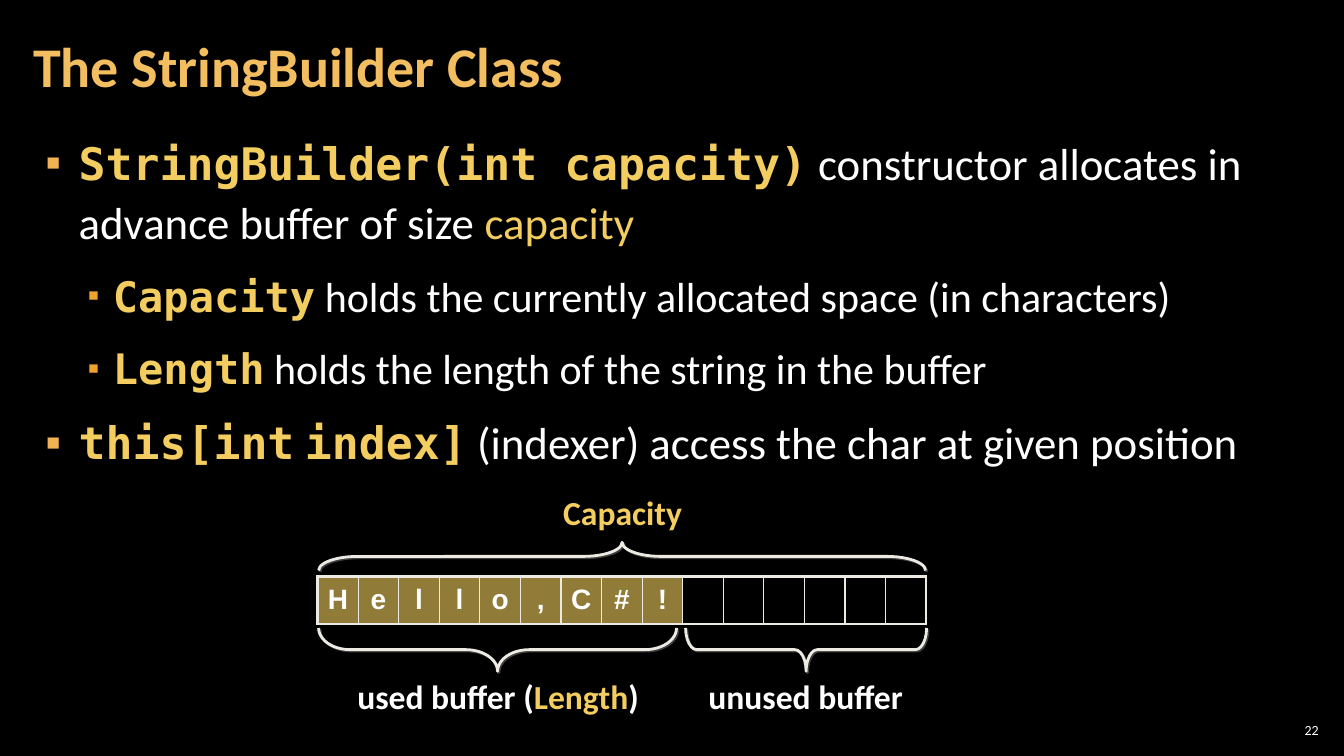
from pptx import Presentation
from pptx.dml.color import RGBColor
from pptx.enum import shapes, text
from pptx.oxml import parse_xml
from pptx.oxml.ns import nsdecls
from pptx.util import Inches, Pt

COLORS = {"back": "000000", "title": "F3BE60", "gold": "F3CD60", "white": "FFFFFF",
          "line": "ECEAE3", "shadow": "404040", "bullet": "F2B254", "subbullet": "F0A22E"}
STYLES = {"title": ("Calibri", "title", True), "code": ("DejaVu Sans Mono", "gold", True),
          "plain": ("Calibri", "white", False), "key": ("Calibri", "gold", False),
          "label": ("Calibri", "white", True), "keylabel": ("Calibri", "gold", True),
          "cell": ("Arial", "white", True)}
LEVELS = [{"size": 32, "indent": 0.33, "hang": 0.33, "color": "bullet", "percent": 100},
          {"size": 30, "indent": 0.67, "hang": 0.25, "color": "subbullet", "percent": 80}]
BULLETS = [
    (0, [("StringBuilder(int capacity)", "code"),
         (" constructor allocates in advance buffer of size ", "plain"), ("capacity", "key")]),
    (1, [("Capacity", "code"), (" holds the currently allocated space (in characters)", "plain")]),
    (1, [("Length", "code"), (" holds the length of the string in the buffer", "plain")]),
    (0, [("this[int", "code"), (" ", "plain"), ("index]", "code"),
         (" (indexer) access the char at given position", "plain")]),
]
LEFT, MIDDLE, RIGHT = text.PP_ALIGN.LEFT, text.PP_ALIGN.CENTER, text.PP_ALIGN.RIGHT
LABELS = [
    ((0.21, 0.04, 10.47, 1.21), 0.12, 40, LEFT, [("The StringBuilder Class", "title")]),
    ((12.65, 7.14, 0.47, 0.21), 0.04, 10, RIGHT, [("22", "plain")]),
    ((5.48, 4.83, 1.39, 0.5), 0.05, 24, MIDDLE, [("Capacity", "keylabel")]),
    ((3.17, 6.66, 3.54, 0.5), 0.05, 24, MIDDLE,
     [("used buffer (", "label"), ("Length", "keylabel"), (")", "label")]),
    ((6.65, 6.66, 2.68, 0.5), 0.05, 24, MIDDLE, [("unused buffer", "label")]),
]
BRACES = [((3.16, 6.23, 3.55, 0.43), 270, 0.73),
          ((6.8, 6.23, 2.39, 0.43), 270, 0.26),
          ((3.16, 5.38, 6.02, 0.28), 90, 1.38)]
BUFFER_TEXT = "Hello,C#!"
CAPACITY = 15
BUFFER_BOX = (3.15, 5.72, 6.04, 0.47)


def color(name):
    return RGBColor.from_string(COLORS[name])


def set_font(font, style, size):
    font.name, font.bold, font.size = STYLES[style][0], STYLES[style][2], Pt(size)
    font.color.rgb = color(STYLES[style][1])


def write(para, spans, size):
    if len(spans) == 1:
        set_font(para.font, spans[0][1], size)
    for words, style in spans:
        span = para.add_run()
        span.text = words
        if len(spans) > 1:
            set_font(span.font, style, size)


def add_box(page, place, side):
    frame = page.shapes.add_textbox(*map(Inches, place)).text_frame
    frame.word_wrap = True
    frame.margin_left = frame.margin_right = Inches(side)
    frame.margin_top = frame.margin_bottom = Inches(0.04)
    return frame


def add_bullets(page):
    frame = add_box(page, (0.33, 1.25, 12.25, 5.89), 0.12)
    for number, (depth, spans) in enumerate(BULLETS):
        para = frame.add_paragraph() if number else frame.paragraphs[0]
        level = LEVELS[depth]
        para.level = depth
        para.line_spacing = 1.1
        para.space_before = para.space_after = Pt(6)
        properties = para._p.get_or_add_pPr()
        properties.set("marL", str(Inches(level["indent"])))
        properties.set("indent", str(-Inches(level["hang"])))
        for tag, inner in [
                ("buClr", f'><a:srgbClr val="{COLORS[level["color"]]}"/></a:buClr>'),
                ("buSzPct", f' val="{level["percent"] * 1000}"/>'),
                ("buFont", ' typeface="Arial"/>'),
                ("buChar", ' char="▪"/>')]:
            properties.append(parse_xml(f'<a:{tag} {nsdecls("a")}{inner}'))
        write(para, spans, level["size"])


def add_labels(page):
    for place, side, size, align, spans in LABELS:
        frame = add_box(page, place, side)
        frame.vertical_anchor = text.MSO_ANCHOR.MIDDLE
        frame.paragraphs[0].alignment = align
        write(frame.paragraphs[0], spans, size)


def add_buffer(page):
    table = page.shapes.add_table(1, CAPACITY, *map(Inches, BUFFER_BOX)).table
    table.first_row = table.horz_banding = False
    for column in range(CAPACITY):
        table.columns[column].width = Inches(BUFFER_BOX[2] / CAPACITY)
        cell = table.cell(0, column)
        cell.vertical_anchor = text.MSO_ANCHOR.MIDDLE
        cell.margin_left = cell.margin_right = Inches(0.05)
        properties = cell._tc.get_or_add_tcPr()
        if column < len(BUFFER_TEXT):
            cell.fill.solid()
            cell.fill.fore_color.rgb = color("gold")
            properties.find(".//{*}srgbClr").append(
                parse_xml(f'<a:alpha {nsdecls("a")} val="60000"/>'))
            para = cell.text_frame.paragraphs[0]
            para.alignment = MIDDLE
            para.line_spacing = 0.95
            write(para, [(BUFFER_TEXT[column], "cell")], 20)
        else:
            cell.fill.background()
        widths = {"L": 1 if column else 2.25, "R": 1 if column < CAPACITY - 1 else 2.25,
                  "T": 2.25, "B": 2.25}
        for order, (side, width) in enumerate(widths.items()):
            properties.insert(order, parse_xml(
                f'<a:ln{side} {nsdecls("a")} w="{Pt(width)}"><a:solidFill>'
                f'<a:srgbClr val="{COLORS["line"]}"/></a:solidFill></a:ln{side}>'))


def add_braces(page):
    for (left, top, width, height), turn, curve in BRACES:
        place = (left + (width - height) / 2, top + (height - width) / 2, height, width)
        brace = page.shapes.add_shape(shapes.MSO_SHAPE.LEFT_BRACE, *map(Inches, place))
        brace.rotation = turn
        brace.adjustments[0] = curve
        brace.fill.background()
        brace.line.color.rgb = color("line")
        brace.line.width = Pt(2)
        brace.shadow.inherit = False
        brace._element.spPr.find("{*}effectLst").append(parse_xml(
            f'<a:outerShdw {nsdecls("a")} blurRad="0" dist="{Pt(1.4)}" dir="2700000" '
            f'rotWithShape="0"><a:srgbClr val="{COLORS["shadow"]}"/></a:outerShdw>'))


def main():
    """Build the slide on the StringBuilder class and its buffer."""
    deck = Presentation()
    deck.slide_width, deck.slide_height = Inches(13.33), Inches(7.5)
    page = deck.slides.add_slide(deck.slide_layouts[6])
    page.background.fill.solid()
    page.background.fill.fore_color.rgb = color("back")
    add_bullets(page)
    add_buffer(page)
    add_braces(page)
    add_labels(page)
    deck.save("out.pptx")


if __name__ == "__main__":
    main()
